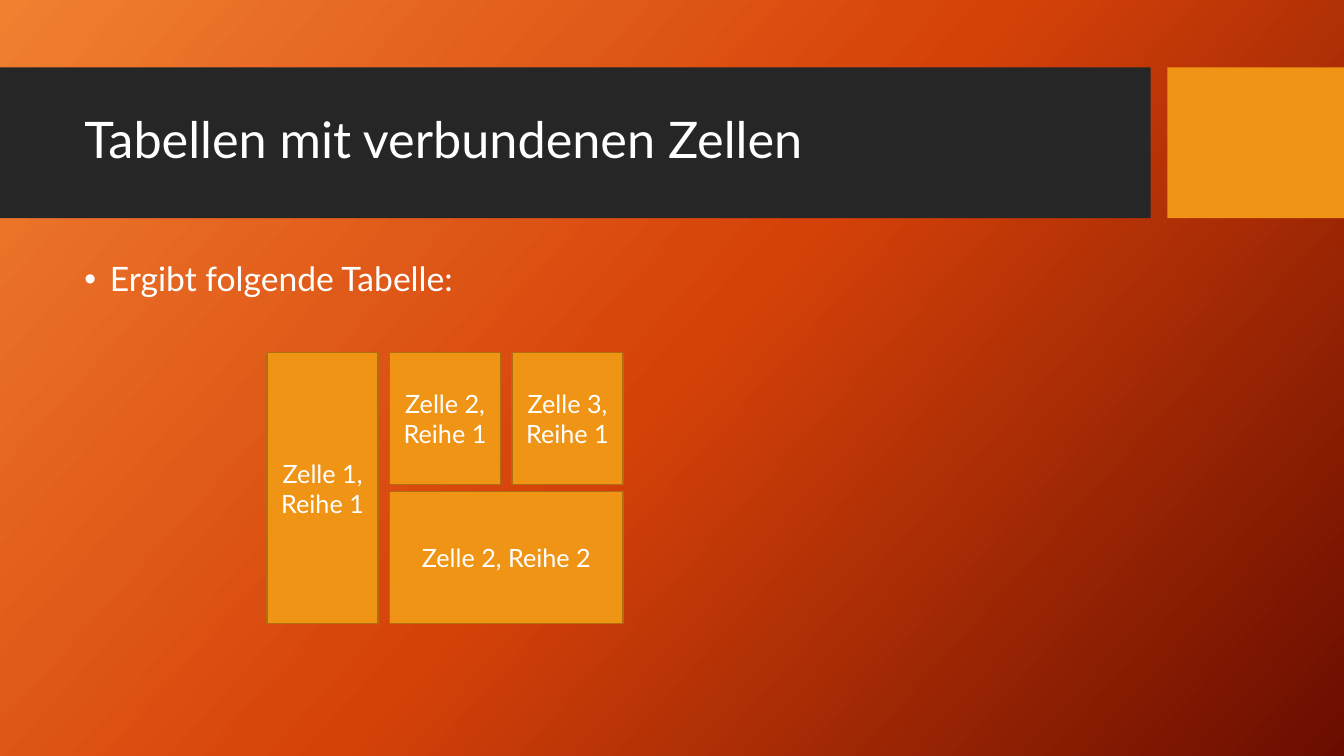
from copy import deepcopy

from lxml import etree
from pptx import Presentation
from pptx.dml.color import RGBColor
from pptx.enum.shapes import MSO_SHAPE
from pptx.enum.text import MSO_ANCHOR, PP_ALIGN
from pptx.oxml.ns import qn
from pptx.util import Cm, Pt

FONT = "Lato"
WHITE, DARK, ORANGE, BROWN = "FFFFFF", "262626", "F09415", "B26D10"
BACKGROUND = [(0, "F18031"), (0.5, "D54209"), (1, "6A0D00")]

# text, column, row, column span, row span
CELLS = [
    ("Zelle 1, Reihe 1", 0, 0, 1, 2),
    ("Zelle 2, Reihe 2", 1, 1, 2, 1),
    ("Zelle 2, Reihe 1", 1, 0, 1, 1),
    ("Zelle 3, Reihe 1", 2, 0, 1, 1),
]


def rgb(color):
    return RGBColor.from_string(color)


def paint_background(slide):
    fill = slide.background.fill
    fill.gradient()
    fill.gradient_angle = 360 - 42
    first = fill._fill._gradFill.find(qn("a:gsLst"))[0]
    first.addnext(deepcopy(first))
    for stop, (position, color) in zip(fill.gradient_stops, BACKGROUND):
        stop.position = position
        stop.color.rgb = rgb(color)


def add_rect(slide, x, y, w, h, fill, line=None):
    s = slide.shapes.add_shape(MSO_SHAPE.RECTANGLE, Cm(x), Cm(y), Cm(w), Cm(h))
    s.shadow.inherit = False
    s.fill.solid()
    s.fill.fore_color.rgb = rgb(fill)
    if line:
        s.line.color.rgb = rgb(line)
        s.line.width = Pt(1)
    else:
        s.line.fill.background()
    return s


def write(s, text, size, anchor=MSO_ANCHOR.MIDDLE):
    """Set the text of a shape in white and return its paragraph."""
    tf = s.text_frame
    tf.word_wrap = True
    tf.vertical_anchor = anchor
    tf.text = text
    p = tf.paragraphs[0]
    font = p.runs[0].font
    font.name, font.size = FONT, Pt(size)
    font.color.rgb = rgb(WHITE)
    return p


def add_text(slide, x, y, w, h, text, size, anchor):
    tb = slide.shapes.add_textbox(Cm(x), Cm(y), Cm(w), Cm(h))
    p = write(tb, text, size, anchor)
    p.line_spacing = 0.9
    return p


def add_header(slide, x, y, w, h, title):
    accent_w, gap = 4.45, 0.42
    bar_w = w - accent_w - gap
    add_rect(slide, x, y, bar_w, h, DARK)
    add_rect(slide, x + w - accent_w, y, accent_w, h, ORANGE)
    add_text(slide, x + 1.88, y + 0.38, bar_w - 2.28, 3, title, 36,
             MSO_ANCHOR.MIDDLE)


def add_bullet(slide, x, y, w, h, text):
    p = add_text(slide, x, y, w, h, text, 24, MSO_ANCHOR.TOP)
    p.space_before = Pt(10)
    indent = Cm(0.64)
    pPr = p._p.get_or_add_pPr()
    pPr.set("marL", str(indent))
    pPr.set("indent", str(-indent))
    etree.SubElement(pPr, qn("a:buFont")).set("typeface", "Arial")
    etree.SubElement(pPr, qn("a:buChar")).set("char", "•")


def add_cells(slide, x, y, w, h, gap_x=0.29, gap_y=0.18):
    """Lay out the merged cells on a grid of three columns and two rows."""
    pitch_x, pitch_y = (w + gap_x) / 3, (h + gap_y) / 2
    for text, col, row, cols, rows in CELLS:
        s = add_rect(slide, x + col * pitch_x, y + row * pitch_y,
                     cols * pitch_x - gap_x, rows * pitch_y - gap_y,
                     ORANGE, BROWN)
        write(s, text, 18).alignment = PP_ALIGN.CENTER


def main():
    prs = Presentation()
    prs.slide_width, prs.slide_height = Cm(33.87), Cm(19.05)
    slide = prs.slides.add_slide(prs.slide_layouts[6])
    paint_background(slide)
    add_header(slide, 0, 1.7, 33.87, 3.8, "Tabellen mit verbundenen Zellen")
    add_bullet(slide, 1.88, 6.5, 26.7, 10, "Ergibt folgende Tabelle:")
    add_cells(slide, 6.73, 8.89, 8.97, 6.82)
    prs.save("out.pptx")


if __name__ == "__main__":
    main()
